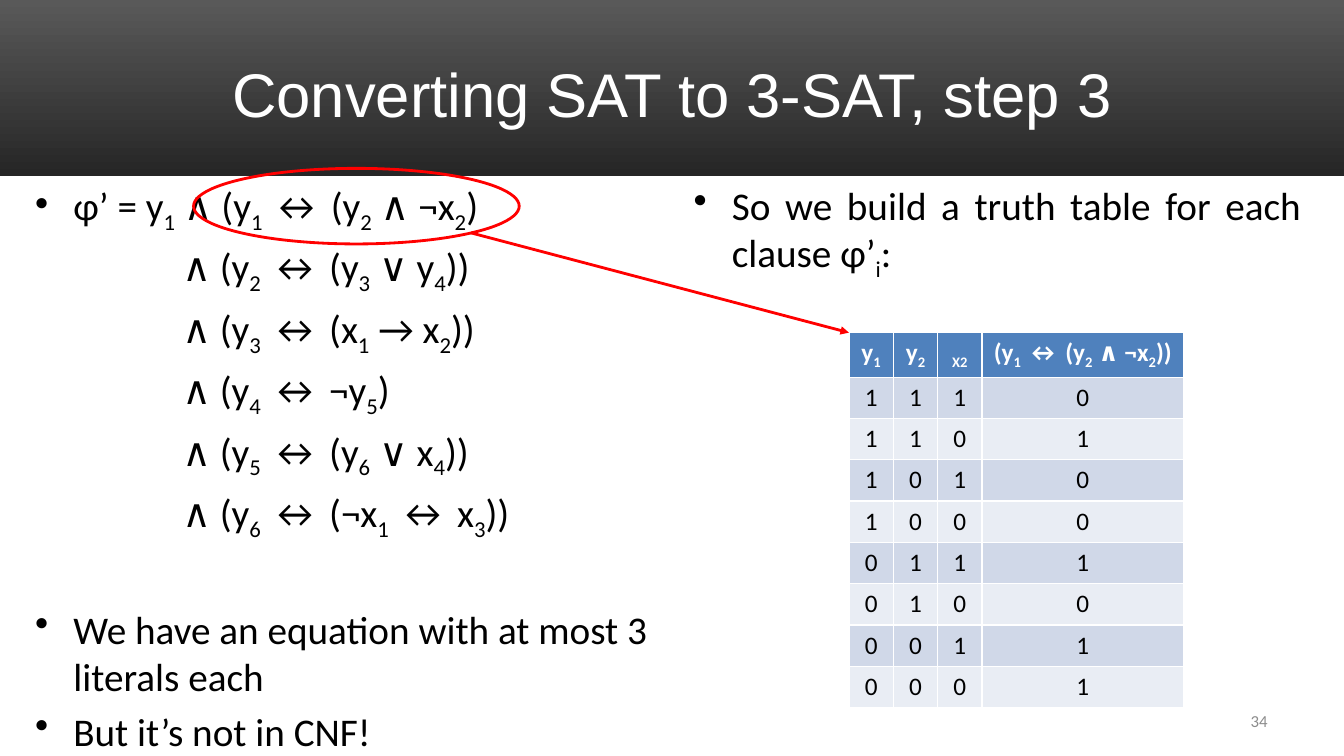
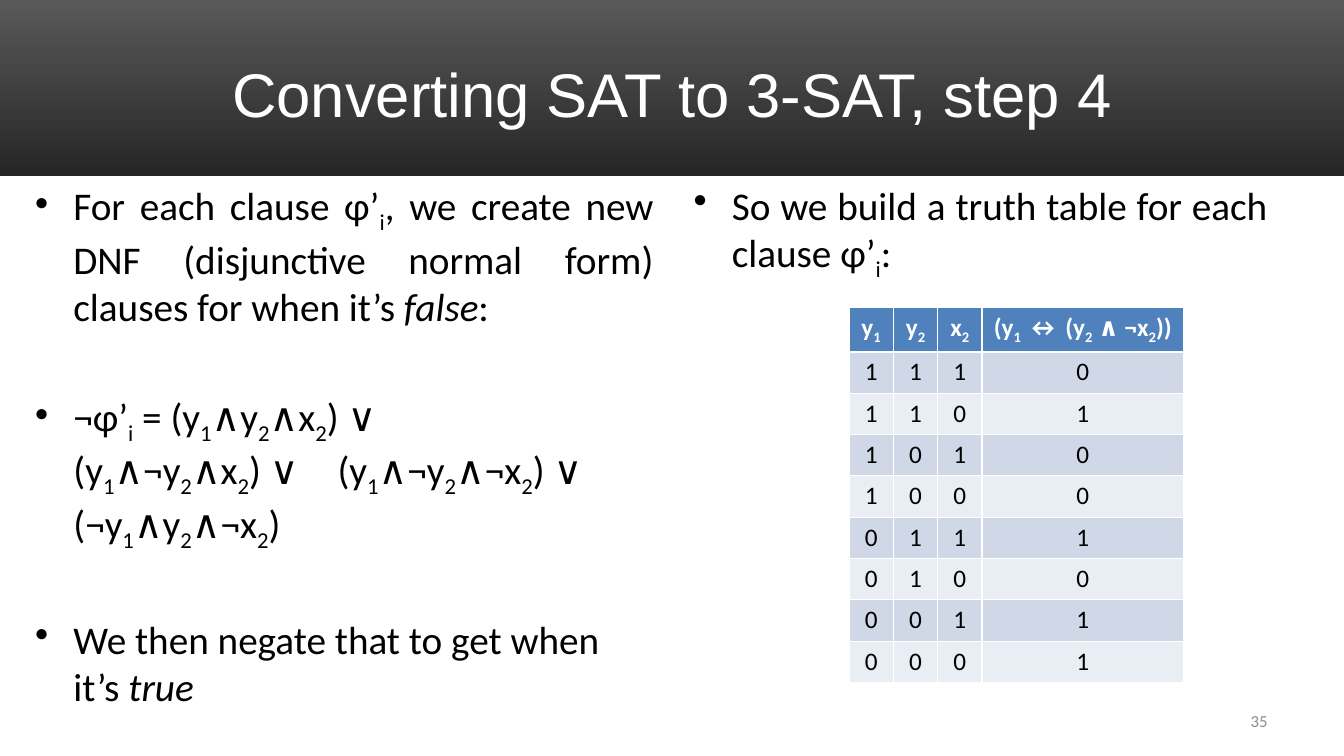
import itertools
import pptx
import pptx.dml.color
import pptx.enum.shapes
import pptx.enum.text
import pptx.oxml
import pptx.oxml.ns
import pptx.util

# Shared look
PX = 9144  # 100 px to the inch
WIDE, HIGH = 1333, 750
BAND = 175
WHITE, BLACK, GREY, RED = "FFFFFF", "000000", "8C8C8C", "FF0000"
DARK, DIM = "262626", "595959"
HEAD, ODD, EVEN = "4F81BD", "D0D8E8", "E9EDF4"
ALIGN = pptx.enum.text.PP_ALIGN
MIDDLE = pptx.enum.text.MSO_ANCHOR.MIDDLE
SHAPE = pptx.enum.shapes.MSO_SHAPE
GAP, BREAK = 5.6, 45  # points before a line, before a new block
HANG, INNER = 38, 146  # indents of bullets and of clauses

# Wording: _ lowers the next letter, * turns italics on and off
CLAUSES = [
    "∧ (y_2 ↔ (y_3 ∨ y_4))",
    "∧ (y_3 ↔ (x_1 → x_2))",
    "∧ (y_4 ↔ ¬y_5)",
    "∧ (y_5 ↔ (y_6 ∨ x_4))",
    "∧ (y_6 ↔ (¬x_1 ↔ x_3))",
]
NEGATED = ("¬φ’_i = (y_1∧y_2∧x_2) ∨\v(y_1∧¬y_2∧x_2) ∨ \t(y_1∧¬y_2∧¬x_2) ∨"
           "\v(¬y_1∧y_2∧¬x_2)")
BUILD = "So we build a truth table for each clause φ’_i:"
RULE = "(y_1 ↔ (y_2 ∧ ¬x_2))"


def px(*nums):
    return [pptx.util.Emu(n * PX) for n in nums]


def color(code):
    return pptx.dml.color.RGBColor.from_string(code)


def paint(fill, code):
    fill.solid()
    fill.fore_color.rgb = color(code)


def split(text):
    """Yield (piece, lowered, italic) for marked-up text."""
    for n, part in enumerate(text.split("*")):
        plain, *rest = part.split("_")
        yield plain, False, n % 2 == 1
        for bit in rest:
            yield bit[0], True, n % 2 == 1
            yield bit[1:], False, n % 2 == 1


def write(para, text, size=28, font="Calibri", tint=BLACK, bold=False,
          align=ALIGN.LEFT, before=0, left=0, bullet=False):
    para.alignment = align
    para.space_before = pptx.util.Pt(before)
    props = para._p.get_or_add_pPr()
    props.set("marL", str(left * PX))
    props.set("indent", str(-HANG * PX if bullet else 0))
    if bullet:
        mark = pptx.oxml.parse_xml(
            f'<a:buChar {pptx.oxml.ns.nsdecls("a")} char="•"/>')
        props.append(mark)
    for piece, low, slant in split(text):
        for n, line in enumerate(piece.split("\v")):
            if n:
                para.add_line_break()
            if not line:
                continue
            run = para.add_run()
            run.text = line
            run.font.size = pptx.util.Pt(size)
            run.font.name = font
            run.font.bold = bold
            run.font.italic = slant
            run.font.color.rgb = color(tint)
            if low:
                run._r.get_or_add_rPr().set("baseline", "-25000")


def box(slide, area, lines):
    """Add a text box; lines holds (text, format) pairs."""
    frame = slide.shapes.add_textbox(*px(*area)).text_frame
    frame.word_wrap = True
    for n, (text, style) in enumerate(lines):
        para = frame.add_paragraph() if n else frame.paragraphs[0]
        write(para, text, **style)
    return frame


def point(text, align=ALIGN.LEFT, before=GAP):
    return text, dict(align=align, before=before, left=HANG, bullet=True)


def start(deck, title, number):
    """Add a slide with band, title and number."""
    slide = deck.slides.add_slide(deck.slide_layouts[5])
    band = slide.shapes.add_shape(SHAPE.RECTANGLE, *px(0, 0, WIDE, BAND))
    band.shadow.inherit = False
    band.line.fill.background()
    band.fill.gradient()
    band.fill.gradient_angle = 270
    for stop, code in zip(band.fill.gradient_stops, (DIM, DARK)):
        stop.color.rgb = color(code)
    slide.shapes._spTree.insert(2, band._element)

    head = slide.shapes.title
    head.left, head.top, head.width, head.height = px(67, 30, 1200, 125)
    head.text_frame.vertical_anchor = MIDDLE
    write(head.text_frame.paragraphs[0], title, size=44, font="Arial",
          tint=WHITE, align=ALIGN.CENTER)

    style = dict(size=12, tint=GREY, align=ALIGN.RIGHT)
    foot = box(slide, (956, 695, 311, 40), [(str(number), style)])
    foot.vertical_anchor = MIDDLE
    return slide


def truth(slide, top, third):
    """Add the truth table; third is the label of column three."""
    rows = [["y_1", "y_2", third, RULE]]
    for a, b, c in itertools.product((1, 0), repeat=3):
        rows.append([a, b, c, int(a == (b and not c))])
    wide = [44, 44, 44, 200]
    area = px(842, top, sum(wide), 41 * len(rows))
    grid = slide.shapes.add_table(len(rows), len(wide), *area).table
    for col, width in zip(grid.columns, px(*wide)):
        col.width = width
    for r, row in enumerate(rows):
        grid.rows[r].height = px(41)[0]
        back = (ODD if r % 2 else EVEN) if r else HEAD
        for c, value in enumerate(row):
            cell = grid.cell(r, c)
            paint(cell.fill, back)
            write(cell.text_frame.paragraphs[0], str(value), size=18,
                  tint=BLACK if r else WHITE, bold=r == 0,
                  align=ALIGN.CENTER)


def stroke(line):
    line.color.rgb = color(RED)
    line.width = pptx.util.Pt(2)


def ring(slide, area):
    oval = slide.shapes.add_shape(SHAPE.OVAL, *px(*area))
    oval.shadow.inherit = False
    oval.fill.background()
    stroke(oval.line)


def arrow(slide, *ends):
    kind = pptx.enum.shapes.MSO_CONNECTOR.STRAIGHT
    link = slide.shapes.add_connector(kind, *px(*ends))
    stroke(link.line)
    space = pptx.oxml.ns.nsdecls("a")
    link.line._get_or_add_ln().append(
        pptx.oxml.parse_xml(f'<a:tailEnd {space} type="triangle"/>'))
    link._element.spPr.append(pptx.oxml.parse_xml(f"<a:effectLst {space}/>"))


def third(deck):
    slide = start(deck, "Converting SAT to 3-SAT, step 3", 34)
    lines = [point("φ’ = y_1 ∧ (y_1 ↔ (y_2 ∧ ¬x_2)", ALIGN.JUSTIFY)]
    lines += [(text, dict(before=GAP, left=INNER)) for text in CLAUSES]
    lines += [point("We have an equation with at most 3 literals each",
                    before=BREAK),
              point("But it’s not in CNF!")]
    box(slide, (25, BAND, 633, 560), lines)
    box(slide, (678, BAND, 622, 560), [point(BUILD, ALIGN.JUSTIFY)])
    truth(slide, 330, "_X_2")
    ring(slide, (192, 167, 323, 75))
    arrow(slide, 467, 231, 842, 330)


def fourth(deck):
    slide = start(deck, "Converting SAT to 3-SAT, step 4", 35)
    box(slide, (25, BAND, 633, 550), [
        point("For each clause φ’_i, we create new DNF (disjunctive normal "
              "form) clauses for when it’s *false*:", ALIGN.JUSTIFY),
        point(NEGATED, before=BREAK),
        point("We then negate that to get when it’s *true*", before=BREAK),
    ])
    box(slide, (678, BAND, 589, 495), [point(BUILD, ALIGN.JUSTIFY)])
    truth(slide, 305, "x_2")


def main():
    deck = pptx.Presentation()
    deck.slide_width, deck.slide_height = px(WIDE, HIGH)
    third(deck)
    fourth(deck)
    deck.save("out.pptx")


if __name__ == "__main__":
    main()
